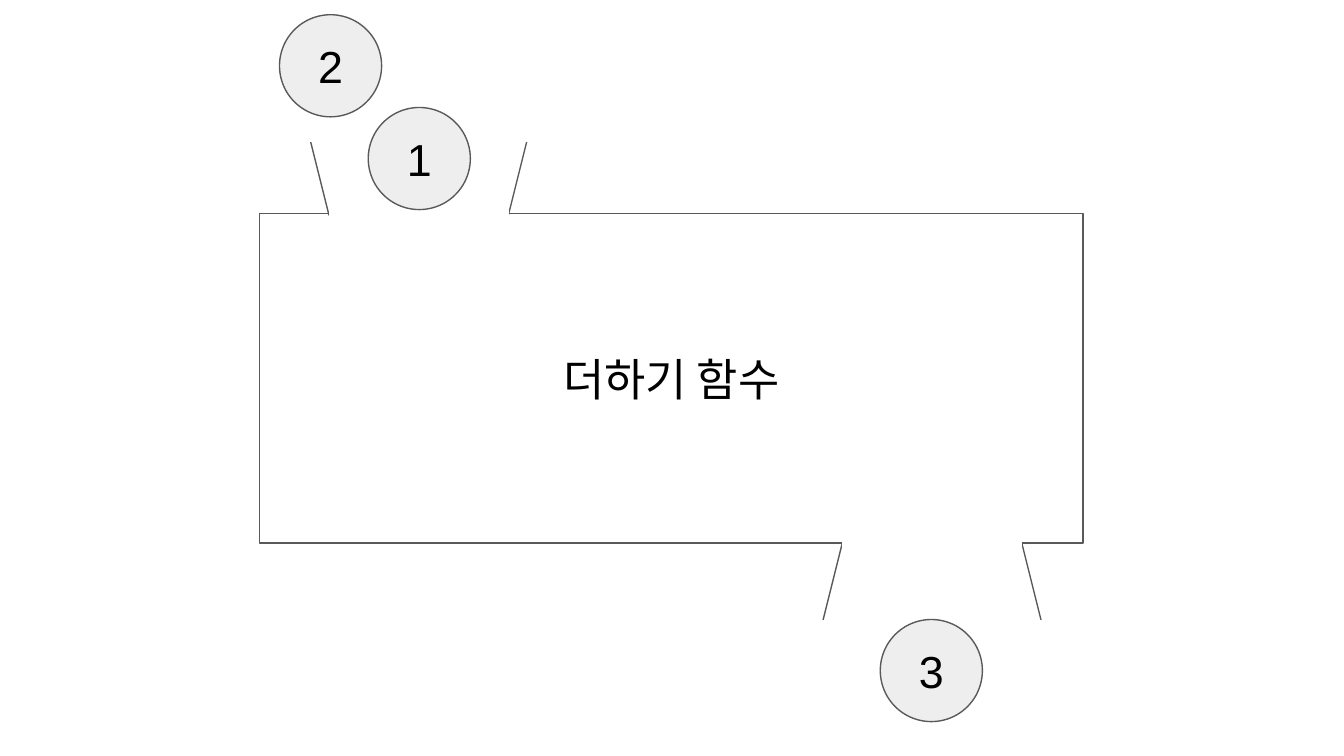
"""Draw a function machine that takes two numbers in and lets their sum out."""
import pptx
import pptx.dml.color
import pptx.enum.shapes
import pptx.enum.text
import pptx.util

Inches = pptx.util.Inches
Shape = pptx.enum.shapes.MSO_SHAPE
BLACK = pptx.dml.color.RGBColor(0x00, 0x00, 0x00)
WHITE = pptx.dml.color.RGBColor(0xFF, 0xFF, 0xFF)
GRAY = pptx.dml.color.RGBColor(0x59, 0x59, 0x59)
PALE = pptx.dml.color.RGBColor(0xEE, 0xEE, 0xEE)


class MachineSlide:
    """Hold the drawing style and the group of shapes on the current slide."""

    font = "Arial"
    size = pptx.util.Pt(24)
    stroke = pptx.util.Pt(0.75)
    inset = Inches(0.1)
    ball_size = 0.76

    def __init__(self, deck):
        page = deck.slides.add_slide(deck.slide_layouts[6])
        page.background.fill.solid()
        page.background.fill.fore_color.rgb = WHITE
        self.group = page.shapes.add_group_shape()

    def shape(self, kind, left, top, width, height, fill=None, line=GRAY):
        """Add an outlined shape, hollow unless a fill is given."""
        shape = self.group.shapes.add_shape(
            kind, Inches(left), Inches(top), Inches(width), Inches(height))
        shape.shadow.inherit = False
        if fill is None:
            shape.fill.background()
        else:
            shape.fill.solid()
            shape.fill.fore_color.rgb = fill
        shape.line.color.rgb = line
        shape.line.width = self.stroke
        return shape

    def label(self, shape, text):
        """Write centred text inside a shape."""
        frame = shape.text_frame
        frame.word_wrap = True
        frame.vertical_anchor = pptx.enum.text.MSO_ANCHOR.MIDDLE
        frame.margin_left = frame.margin_right = self.inset
        frame.margin_top = frame.margin_bottom = self.inset
        para = frame.paragraphs[0]
        para.alignment = pptx.enum.text.PP_ALIGN.CENTER
        span = para.add_run()
        span.text = text
        span.font.name = self.font
        span.font.size = self.size
        span.font.color.rgb = BLACK

    def machine(self, left, top, width, height, text):
        """Add the labelled body of the machine."""
        self.label(self.shape(Shape.RECTANGLE, left, top, width, height), text)

    def mask(self, left, top, width):
        """Add a white strip that opens an edge."""
        self.shape(Shape.RECTANGLE, left, top, width, 0.12, WHITE, WHITE)

    def funnel(self, left, top, rotation, wide_end, narrow_end):
        """Add a trapezoid whose two parallel sides are masked open."""
        funnel = self.shape(Shape.TRAPEZOID, left, top, 1.65, 0.63)
        funnel.adjustments[0] = 0.25
        funnel.rotation = rotation
        self.mask(left - 0.05, wide_end, 1.75)
        self.mask(left + 0.16, narrow_end, 1.33)

    def ball(self, left, top, text):
        """Add a numbered ball."""
        ball = self.shape(Shape.OVAL, left, top, self.ball_size, self.ball_size, PALE)
        self.label(ball, text)


def main():
    """Build the slide and save it."""
    deck = pptx.Presentation()
    deck.slide_width = Inches(10)
    deck.slide_height = Inches(10 * 9 / 16)
    slide = MachineSlide(deck)
    slide.machine(1.93, 1.59, 6.13, 2.45, "더하기 함수")
    slide.funnel(2.29, 0.97, 180, wide_end=0.93, narrow_end=1.53)
    slide.funnel(6.11, 4.04, 0, wide_end=4.62, narrow_end=3.98)
    for left, top, number in ((2.74, 0.8, "1"), (2.08, 0.11, "2"), (6.55, 4.61, "3")):
        slide.ball(left, top, number)
    deck.save("out.pptx")


if __name__ == "__main__":
    main()
